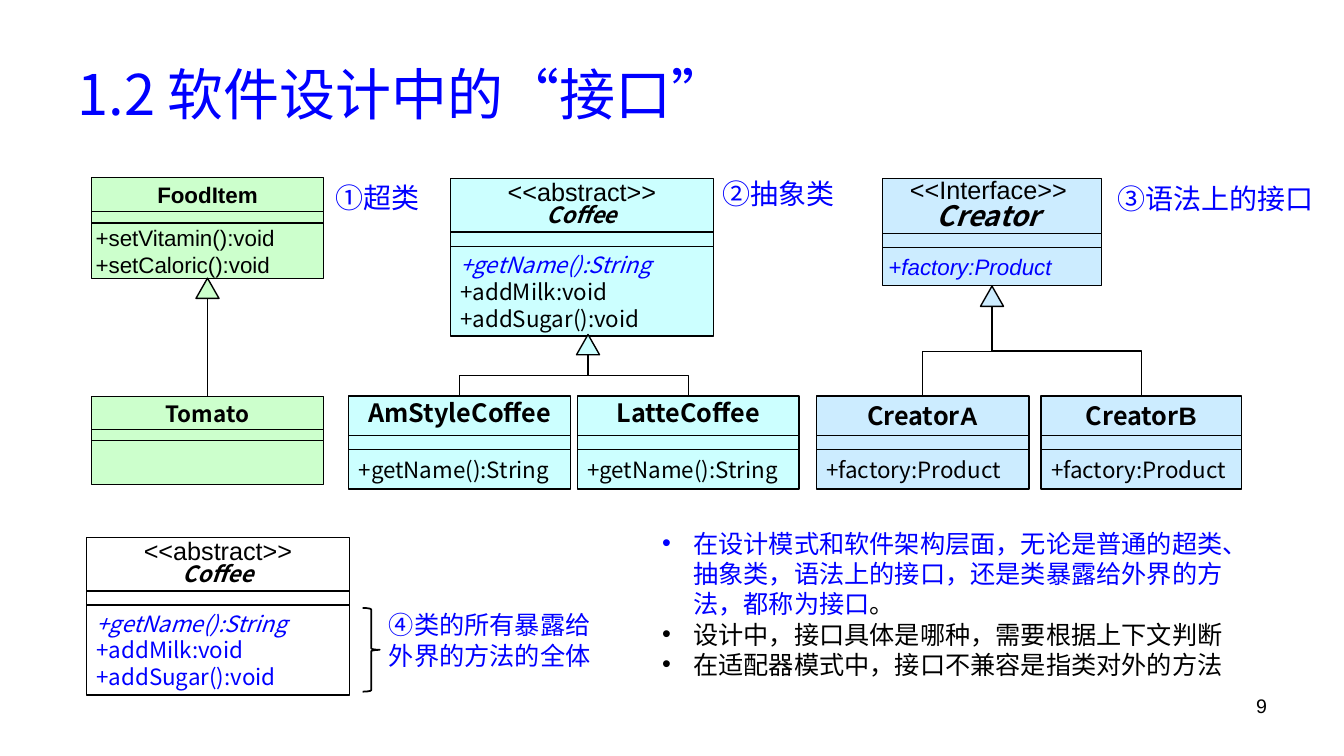
from dataclasses import dataclass, field
from typing import Any

from lxml.etree import SubElement
from pptx import Presentation
from pptx.dml.color import RGBColor
from pptx.enum.shapes import MSO_CONNECTOR as CONN, MSO_SHAPE as SHAPE
from pptx.enum.text import MSO_ANCHOR as ANCHOR, MSO_AUTO_SIZE as AUTO, PP_ALIGN as ALIGN
from pptx.oxml.ns import qn
from pptx.util import Cm, Pt

NOTO, ARIAL = "Noto Sans CJK SC", "Arial"
BLACK, BLUE = "000000", "0000FF"
GREEN, CYAN, SKY = "CCFFCC", "CCFFFF", "CCECFF"
TRI_W, TRI_H = 0.58, 0.51
CHILD_TOP = 9.98
CHILD_ROWS = (0.99, 0.36, 0.99)


@dataclass
class Line:
    text: str
    fmt: dict[str, Any] = field(default_factory=dict)


@dataclass
class ClassBox:
    x: float
    y: float
    w: float
    rows: tuple[float, float, float]
    fill: str | None
    head: list[Line]
    body: list[Line]
    line: float = 1
    head_margins: tuple[float, float] = (0.25, 0.25)
    body_left: float = 0.25

    @property
    def centre(self) -> float:
        return self.x + self.w / 2


@dataclass
class Inheritance:
    x: float
    tip: float
    fill: str
    children: list[ClassBox]


@dataclass
class Label:
    text: str
    x: float
    y: float
    w: float
    h: float
    fmt: dict[str, Any]


def rgb(color: str) -> RGBColor:
    return RGBColor.from_string(color)


def add_text(tf, text: str, *, size: float = 16, font: str = NOTO, color: str = BLACK,
             bold: bool = False, italic: bool = False, align=ALIGN.LEFT,
             spacing: float = 1.0, before: float = 0, join: bool = False):
    p = tf.paragraphs[-1]
    if p.runs and not join:
        p = tf.add_paragraph()
    p.alignment, p.line_spacing, p.space_before = align, spacing, Pt(before)
    r = p.add_run()
    r.text = text
    f = r.font
    f.size, f.name, f.bold, f.italic = Pt(size), font, bold, italic
    f.color.rgb = rgb(color)
    SubElement(r._r.get_or_add_rPr(), qn("a:ea")).set("typeface", font)
    return p


def add_shape(slide, kind, x: float, y: float, w: float, h: float,
              fill: str | None, line: float = 1):
    s = slide.shapes.add_shape(kind, Cm(x), Cm(y), Cm(w), Cm(h))
    s.shadow.inherit = False
    if fill:
        s.fill.solid()
        s.fill.fore_color.rgb = rgb(fill)
    else:
        s.fill.background()
    s.line.color.rgb = rgb(BLACK)
    s.line.width = Pt(line)
    return s


def add_class(slide, box: ClassBox) -> None:
    y = box.y
    left, right = box.head_margins
    parts = ((box.head, left, right, ALIGN.CENTER), ([], 0, 0, ALIGN.LEFT),
             (box.body, box.body_left, 0, ALIGN.LEFT))
    for h, (lines, left, right, align) in zip(box.rows, parts):
        s = add_shape(slide, SHAPE.RECTANGLE, box.x, y, box.w, h, box.fill, box.line)
        tf = s.text_frame
        tf.vertical_anchor = ANCHOR.MIDDLE
        tf.margin_left, tf.margin_right = Cm(left), Cm(right)
        tf.margin_top = tf.margin_bottom = Cm(0)
        for item in lines:
            add_text(tf, item.text, align=align, **item.fmt)
        y += h


def add_line(slide, kind, x1: float, y1: float, x2: float, y2: float):
    c = slide.shapes.add_connector(kind, Cm(x1), Cm(y1), Cm(x2), Cm(y2))
    c.line.color.rgb = rgb(BLACK)
    c.line.width = Pt(1)
    SubElement(c._element.spPr, qn("a:effectLst"))
    return c


def add_inheritance(slide, link: Inheritance) -> None:
    add_shape(slide, SHAPE.ISOSCELES_TRIANGLE, link.x - TRI_W / 2, link.tip, TRI_W, TRI_H, link.fill)
    base = link.tip + TRI_H
    for child in link.children:
        if len(link.children) == 1:
            add_line(slide, CONN.STRAIGHT, link.x, base, link.x, child.y)
            continue
        mid_x, mid_y = (child.centre + link.x) / 2, (child.y + base) / 2
        rise, run = (child.y - base) / 2, (child.centre - link.x) / 2
        c = add_line(slide, CONN.ELBOW, mid_x - rise, mid_y + run, mid_x + rise, mid_y - run)
        c.rotation = 270


def add_label(slide, label: Label) -> None:
    s = slide.shapes.add_textbox(Cm(label.x), Cm(label.y), Cm(label.w), Cm(label.h))
    s.text_frame.word_wrap = True
    add_text(s.text_frame, label.text, **label.fmt)


def place(s, x: float, y: float, w: float, h: float):
    s.left, s.top, s.width, s.height = Cm(x), Cm(y), Cm(w), Cm(h)
    s.text_frame.auto_size = AUTO.NONE
    return s.text_frame


def child_class(x: float, w: float, fill: str, head: list[Line], method: str) -> ClassBox:
    return ClassBox(x, CHILD_TOP, w, CHILD_ROWS, fill, head, [Line(method)])


def coffee_class(x: float, y: float, fill: str | None, color: str) -> ClassBox:
    head = [Line("<<abstract>>", dict(size=18, font=ARIAL, spacing=0.8)),
            Line("Coffee", dict(bold=True, italic=True, spacing=0.8))]
    body = [Line("+getName():String", dict(color=BLUE, italic=True)),
            Line("+addMilk:void", dict(color=color)), Line("+addSugar():void", dict(color=color))]
    return ClassBox(x, y, 6.63, (1.35, 0.36, 2.26), fill, head, body)


def main() -> None:
    prs = Presentation()
    prs.slide_width, prs.slide_height = Cm(33.87), Cm(19.05)
    slide = prs.slides.add_slide(prs.slide_layouts[1])

    tf = place(slide.shapes.title, 1.7, 0.76, 30.48, 3.18)
    tf.vertical_anchor = ANCHOR.MIDDLE
    add_text(tf, "1.2 软件设计中的“接口”", size=40, color=BLUE)

    tf = place(slide.placeholders[1], 16.43, 13.18, 14.86, 4.19)
    add_text(tf, "在设计模式和软件架构层面，无论是普通的超类、抽象类，语法上的接口，"
                 "还是类暴露给外界的方法，都称为接口", size=18, color=BLUE)
    add_text(tf, "。", size=18, join=True)
    add_text(tf, "设计中，接口具体是哪种，需要根据上下文判断", size=18)
    add_text(tf, "在适配器模式中，接口不兼容是指类对外的方法", size=18)
    for p in tf.paragraphs:
        pPr = p._p.get_or_add_pPr()
        pPr.set("marL", str(Cm(0.79)))
        pPr.set("indent", str(-Cm(0.79)))
        SubElement(pPr, qn("a:buFont")).set("typeface", ARIAL)
        SubElement(pPr, qn("a:buChar")).set("char", "•")

    name = dict(size=18, bold=True)
    coffee_name = name | dict(spacing=0.8)
    suffix = name | dict(font=ARIAL, join=True)
    plain = dict(font=ARIAL)
    food = ClassBox(2.31, 4.47, 5.84, (0.85, 0.3, 1.4), GREEN,
                    [Line("FoodItem", dict(font=ARIAL, bold=True))],
                    [Line("+setVitamin():void", plain), Line("+setCaloric():void", plain)],
                    line=0.75, body_left=0.1)
    tomato = ClassBox(2.31, 10, 5.84, (0.83, 0.27, 1.12), GREEN,
                      [Line("Tomato", dict(bold=True))], [], line=0.75)
    creator = ClassBox(22.23, 4.5, 5.54, (1.39, 0.35, 0.95), SKY,
                       [Line("<<Interface>>", dict(size=18, font=ARIAL, spacing=0.8)),
                        Line("Creator", dict(size=20, bold=True, italic=True, spacing=0.8))],
                       [Line("+factory:Product", dict(font=ARIAL, color=BLUE, italic=True))],
                       line=0.75, head_margins=(0, 0.18), body_left=0.16)
    coffees = [child_class(x, 5.59, CYAN, [Line(text, coffee_name)], "+getName():String")
               for x, text in ((8.79, "AmStyleCoffee"), (14.55, "LatteCoffee"))]
    creators = [child_class(x, w, SKY, [Line("Creator", name), Line(letter, suffix)], "+factory:Product")
                for x, w, letter in ((20.57, 5.36, "A"), (26.24, 5.05, "B"))]
    for box in (food, tomato, coffee_class(11.35, 4.5, CYAN, BLACK), creator, *coffees, *creators,
                coffee_class(2.18, 13.54, None, BLUE)):
        add_class(slide, box)

    for link in (Inheritance(food.centre, 7.01, GREEN, [tomato]),
                 Inheritance(14.82, 8.43, CYAN, coffees),
                 Inheritance(creator.centre, 7.21, SKY, creators)):
        add_inheritance(slide, link)

    add_shape(slide, SHAPE.RIGHT_BRACE, 9.14, 15.32, 0.43, 2.11, None, 1.25)

    heading = dict(size=20, color=BLUE, spacing=1.1, before=6)
    for label in (Label("①超类", 8.2, 4.34, 2.82, 1.19, heading),
                  Label("②抽象类", 17.96, 4.24, 3.61, 1.19, heading),
                  Label("③语法上的接口", 27.91, 4.37, 5.54, 1.19, heading),
                  Label("④类的所有暴露给外界的方法的全体", 9.55, 15.24, 5.79, 1.8,
                        dict(size=18, color=BLUE)),
                  Label("9", 24.28, 17.35, 7.9, 1.32, dict(size=14, font=ARIAL, align=ALIGN.RIGHT))):
        add_label(slide, label)

    prs.save("out.pptx")


if __name__ == "__main__":
    main()
